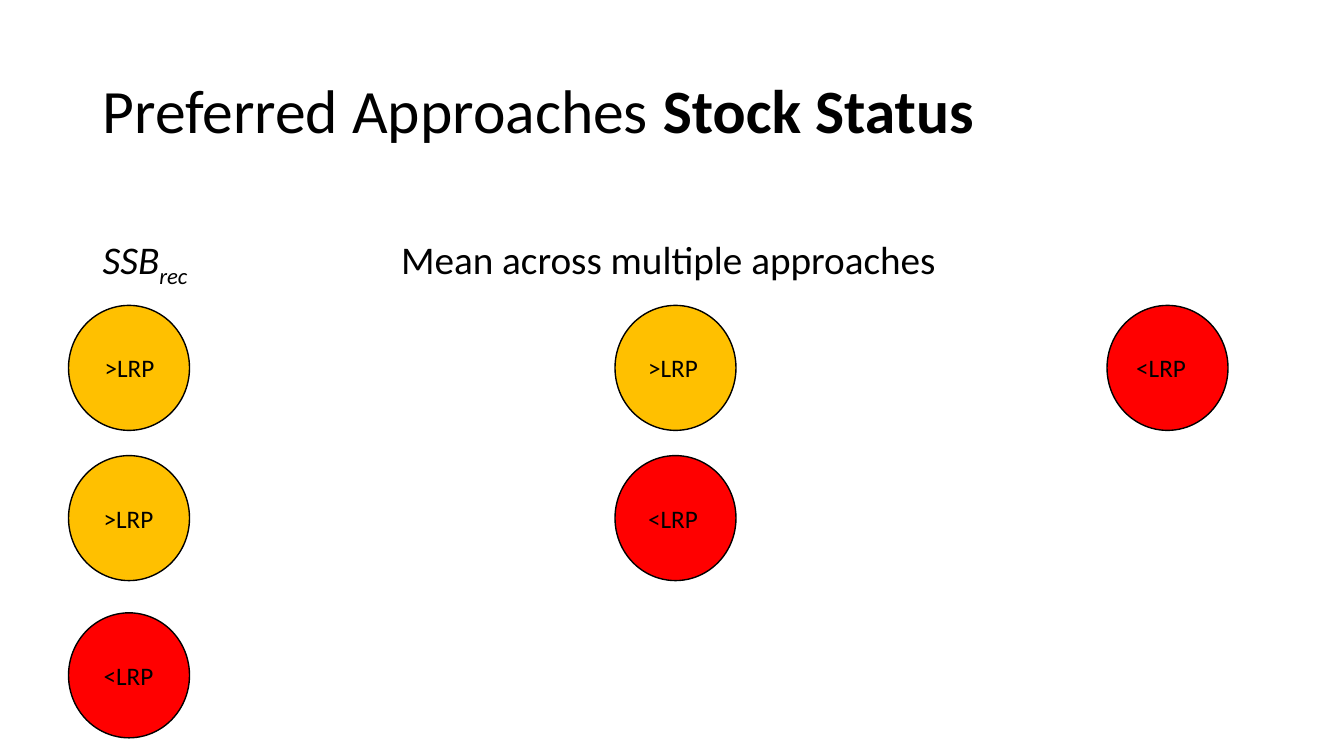
from dataclasses import dataclass

from pptx import Presentation
from pptx import util as u
from pptx.dml.color import RGBColor
from pptx.enum import shapes, text

PX = 9144  # EMU per px, 100 px to the inch
FACE = "Calibri"
BLACK = RGBColor(0x00, 0x00, 0x00)
AMBER = RGBColor(0xFF, 0xC0, 0x00)
RED = RGBColor(0xFF, 0x00, 0x00)

TOPS = (303, 452, 608)
WIDE, HIGH = 120, 124


@dataclass(frozen=True)
class Run:
    words: str
    bold: bool = False
    slant: bool = False
    base: int = 0  # baseline shift in percent


@dataclass(frozen=True)
class Label:
    box: tuple[int, int, int, int]
    runs: tuple[Run, ...]
    size: int
    align: text.PP_ALIGN = text.PP_ALIGN.LEFT
    anchor: text.MSO_ANCHOR = text.MSO_ANCHOR.TOP
    wrap: bool = True
    space: float = 1.0


@dataclass(frozen=True)
class Status:
    left: int
    row: int
    above: bool
    inset: int  # from circle edge to label box
    align: text.PP_ALIGN = text.PP_ALIGN.CENTER


HEADS = (
    Label((92, 40, 1150, 145),
          (Run("Preferred Approaches "), Run("Stock Status", bold=True)),
          44, anchor=text.MSO_ANCHOR.MIDDLE, space=0.9),
    Label((92, 229, 109, 57),
          (Run("SSB", slant=True), Run("rec", slant=True, base=-25)),
          28, wrap=False),
    Label((388, 229, 557, 57), (Run("Mean across multiple approaches"),),
          28, wrap=False),
)

MARKS = (
    Status(68, 0, True, 19),
    Status(68, 1, True, 18),
    Status(68, 2, False, 18),
    Status(610, 0, True, 16),
    Status(610, 1, False, 16),
    Status(1098, 0, False, 19, text.PP_ALIGN.LEFT),
)


def scale(box: tuple[int, int, int, int]) -> list[u.Emu]:
    return [u.Emu(side * PX) for side in box]


def write(slide, label: Label) -> None:
    frame = slide.shapes.add_textbox(*scale(label.box)).text_frame
    frame.word_wrap = label.wrap
    frame.vertical_anchor = label.anchor
    para = frame.paragraphs[0]
    para.alignment = label.align
    para.line_spacing = label.space
    for part in label.runs:
        run = para.add_run()
        run.text = part.words
        font = run.font
        font.name, font.size = FACE, u.Pt(label.size)
        font.bold, font.italic = part.bold, part.slant
        font.color.rgb = BLACK
        if part.base:
            run._r.get_or_add_rPr().set("baseline", str(part.base * 1000))


def draw(slide, mark: Status) -> None:
    """Draw a status circle and the label over it."""
    top = TOPS[mark.row]
    disc = slide.shapes.add_shape(
        shapes.MSO_SHAPE.OVAL, *scale((mark.left, top, WIDE, HIGH)))
    disc.shadow.inherit = False
    disc.fill.solid()
    disc.fill.fore_color.rgb = AMBER if mark.above else RED
    disc.line.color.rgb = BLACK
    disc.line.width = u.Pt(1)
    words = ">LRP" if mark.above else "<LRP"
    write(slide, Label((mark.left + mark.inset, top + 42, 83, 40),
                       (Run(words),), 18, mark.align))


def main() -> None:
    deck = Presentation()
    deck.slide_width, deck.slide_height = u.Emu(1333 * PX), u.Emu(750 * PX)
    slide = deck.slides.add_slide(deck.slide_layouts[6])
    for head in HEADS:
        write(slide, head)
    for mark in MARKS:
        draw(slide, mark)
    deck.save("out.pptx")


if __name__ == "__main__":
    main()
